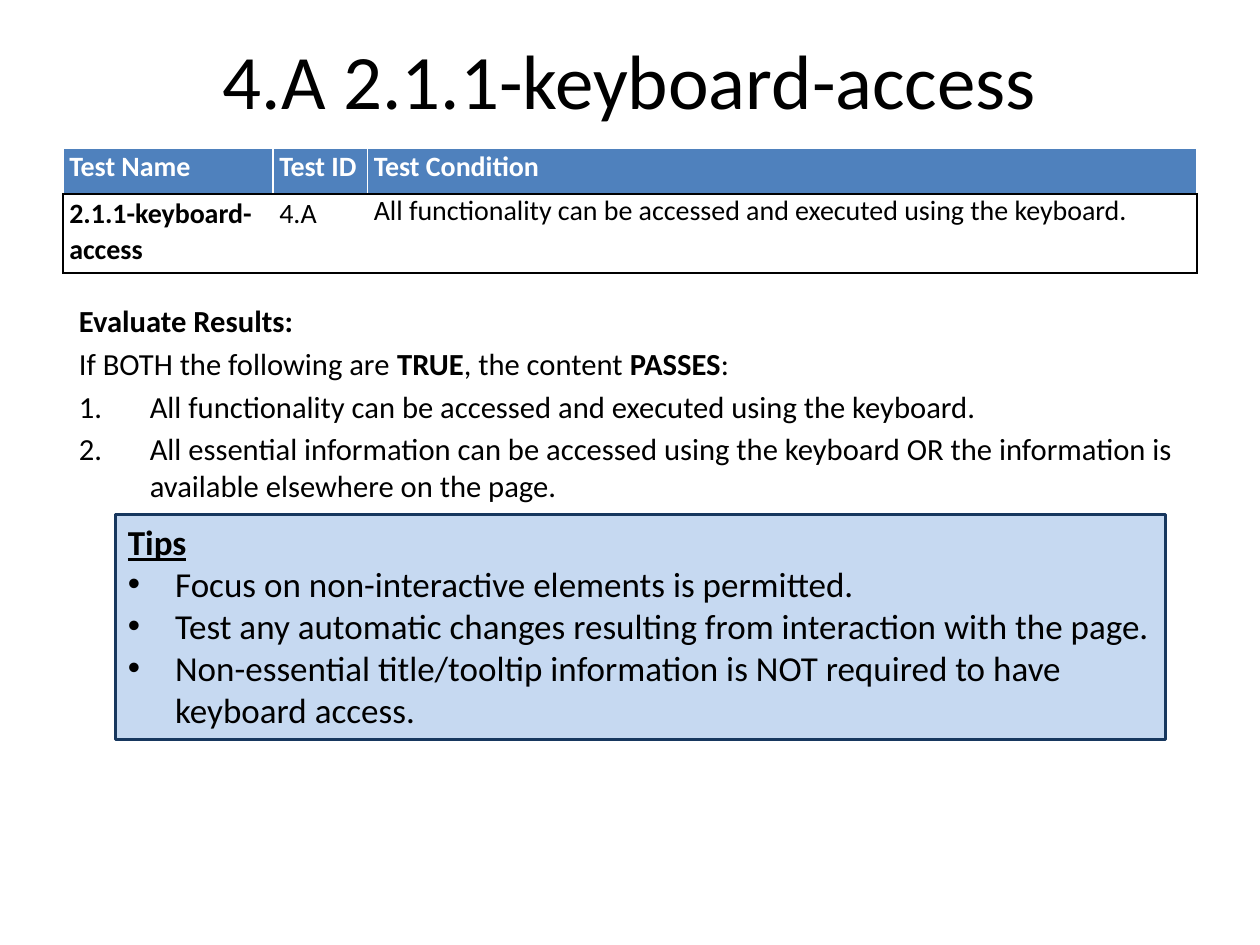
from pptx import Presentation
from pptx.util import Pt
from pptx.dml.color import RGBColor
from pptx.enum.shapes import MSO_SHAPE as Shape
from pptx.enum.text import PP_ALIGN as Align, MSO_ANCHOR as Anchor
from pptx.oxml.ns import qn
from lxml.etree import SubElement as Sub

FONT = "Calibri"
HUES = {"ink": "000000", "paper": "FFFFFF", "head": "4F81BD",
        "tips": "C6D9F1", "edge": "17375E"}


def hue(name):
    return RGBColor.from_string(HUES[name])


def write(para, runs, size, color="ink"):
    """Fill a paragraph from (text, bold) pairs."""
    for text, bold in runs:
        run = para.add_run()
        run.text = text
        font = run.font
        font.name, font.size, font.bold = FONT, Pt(size), bold
        font.color.rgb = hue(color)


def mark(para, indent, tag, **attrs):
    """Give a paragraph a hanging bullet or number."""
    props = para._p.get_or_add_pPr()
    props.set("marL", str(Pt(indent)))
    props.set("indent", str(-Pt(indent)))
    Sub(props, qn("a:" + tag), **attrs)


def rule(cell, sides):
    """Draw cell borders; sides maps L, R, T, B to colour names."""
    props = cell._tc.get_or_add_tcPr()
    for spot, (side, color) in enumerate(sides.items()):
        line = Sub(props, qn("a:ln" + side), w=str(Pt(1)))
        fill = Sub(line, qn("a:solidFill"))
        Sub(fill, qn("a:srgbClr"), val=HUES[color])
        props.insert(spot, line)  # borders come before the fill


def add_title(slide, box, text):
    frame = slide.shapes.add_textbox(*map(Pt, box)).text_frame
    frame.word_wrap = True
    frame.vertical_anchor = Anchor.MIDDLE
    para = frame.paragraphs[0]
    para.alignment = Align.CENTER
    write(para, [(text, False)], 44)


def add_grid(slide, box, rows, widths, heights):
    grid = slide.shapes.add_table(len(rows), len(widths), *map(Pt, box)).table
    for col, width in zip(grid.columns, widths):
        col.width = Pt(width)
    for row, height in zip(grid.rows, heights):
        row.height = Pt(height)
    last = len(widths) - 1
    for r, row in enumerate(rows):
        head = r == 0
        for c, text in enumerate(row):
            cell = grid.cell(r, c)
            cell.margin_left = cell.margin_right = Pt(3.6)
            cell.margin_top = cell.margin_bottom = 0
            para = cell.text_frame.paragraphs[0]
            if head or c < last:
                para.line_spacing = 1.07
            write(para, [(text, head or c == 0)], 16,
                  "paper" if head else "ink")
            if head:
                cell.fill.solid()
                cell.fill.fore_color.rgb = hue("head")
            else:
                cell.fill.background()
            # White rules inside, black frame round the body row
            rule(cell, {"L": "paper" if head or c else "ink",
                        "R": "paper" if head or c < last else "ink",
                        "T": "paper" if head else "ink",
                        "B": "ink"})


def add_results(slide, box, lead, steps):
    frame = slide.shapes.add_textbox(*map(Pt, box)).text_frame
    frame.word_wrap = True
    items = lead + [[(step, False)] for step in steps]
    for i, runs in enumerate(items):
        para = frame.add_paragraph() if i else frame.paragraphs[0]
        para.space_before = Pt(3.5)
        write(para, runs, 17.5)
        if i >= len(lead):
            mark(para, 40.5, "buAutoNum", type="arabicPeriod")


def add_tips(slide, box, head, tips):
    panel = slide.shapes.add_shape(Shape.RECTANGLE, *map(Pt, box))
    panel.shadow.inherit = False
    panel.fill.solid()
    panel.fill.fore_color.rgb = hue("tips")
    panel.line.color.rgb = hue("edge")
    panel.line.width = Pt(1.75)
    frame = panel.text_frame
    frame.word_wrap = True
    frame.vertical_anchor = Anchor.TOP
    para = frame.paragraphs[0]
    para.alignment = Align.LEFT
    para.space_before = Pt(12)
    write(para, [(head, True)], 20)
    para.runs[0].font.underline = True
    for tip in tips:
        para = frame.add_paragraph()
        para.alignment = Align.LEFT
        write(para, [(tip, False)], 20)
        mark(para, 27, "buFont", typeface="Arial")
        mark(para, 27, "buChar", char="•")


def main():
    deck = Presentation()
    deck.slide_width, deck.slide_height = Pt(720), Pt(540)
    slide = deck.slides.add_slide(deck.slide_layouts[6])
    access = "All functionality can be accessed and executed using the keyboard."
    add_title(slide, (36, 0, 648, 90), "4.A 2.1.1-keyboard-access")
    add_grid(slide, (36, 84.5, 648, 71.5),
             [["Test Name", "Test ID", "Test Condition"],
              ["2.1.1-keyboard-access", "4.A", access]],
             (120, 54, 474), (26.5, 45))
    add_results(slide, (38, 169, 654, 108),
                [[("Evaluate Results:", True)],
                 [("If BOTH the following are ", False), ("TRUE", True),
                  (", the content ", False), ("PASSES", True), (":", False)]],
                [access,
                 "All essential information can be accessed using the keyboard "
                 "OR the information is available elsewhere on the page."])
    add_tips(slide, (66, 294, 600, 128.5), "Tips",
             ["Focus on non-interactive elements is permitted.",
              "Test any automatic changes resulting from interaction with the page.",
              "Non-essential title/tooltip information is NOT required to have "
              "keyboard access."])
    deck.save("out.pptx")


if __name__ == "__main__":
    main()
